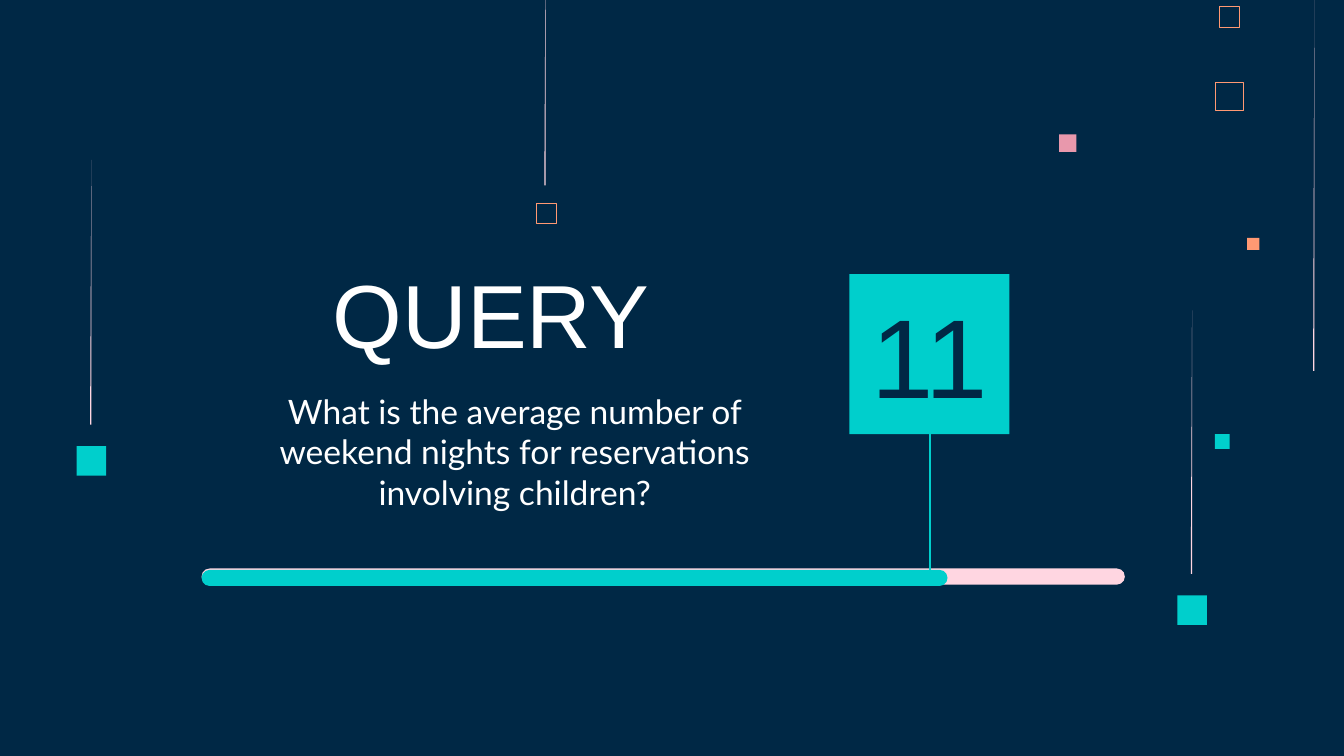
"""Build the QUERY 11 section slide with its progress bar and falling squares."""
from dataclasses import dataclass
from typing import Optional

from lxml import etree
from pptx import Presentation
from pptx.dml.color import RGBColor
from pptx.enum import shapes, text
from pptx.oxml import ns
from pptx.util import Inches, Pt


@dataclass(frozen=True)
class Theme:
    navy: str = "002845"
    teal: str = "00CFCC"
    coral: str = "FF9973"
    rose: str = "E898AC"
    blush: str = "FFD6E1"
    white: str = "FFFFFF"
    heading_font: str = "Arial"
    body_font: str = "Lato"
    heading_size: int = 48
    body_size: int = 18
    number_size: int = 60


@dataclass(frozen=True)
class Square:
    left: float
    top: float
    side: float
    color: str
    outline: Optional[float] = None


@dataclass(frozen=True)
class Streak:
    left: float
    top: float
    height: float


@dataclass(frozen=True)
class Bar:
    top: float
    width: float
    color: str


THEME = Theme()
SLIDE_WIDTH = 10
STREAK_WIDTH = 0.01
BAR_LEFT, BAR_HEIGHT = 1.5, 0.12

SQUARES = [
    Square(7.88, 1, 0.13, THEME.rose),
    Square(9.04, 3.23, 0.11, THEME.teal),
    Square(9.04, 0.61, 0.21, THEME.coral, 0.45),
    Square(9.07, 0.05, 0.15, THEME.coral, 0.32),
    Square(9.28, 1.77, 0.09, THEME.coral),
    Square(3.99, 1.51, 0.15, THEME.coral, 0.32),
    Square(8.76, 4.43, 0.22, THEME.teal),
    Square(0.57, 3.32, 0.22, THEME.teal),
    Square(6.32, 2.04, 1.19, THEME.teal),
]
STREAKS = [
    Streak(4.05, -0.48, 1.86),
    Streak(9.77, 0, 2.76),
    Streak(8.86, 2.31, 1.96),
    Streak(0.67, 1.19, 1.97),
]
BARS = [Bar(4.23, 6.87, THEME.blush), Bar(4.24, 5.55, THEME.teal)]


def rgb(color: str) -> RGBColor:
    """Turn a hex string into a colour."""
    return RGBColor.from_string(color)


def paint(shape, color: str, outline: Optional[float] = None) -> None:
    """Fill a shape, or only outline it when a line width is given."""
    shape.shadow.inherit = False
    if outline is None:
        shape.fill.solid()
        shape.fill.fore_color.rgb = rgb(color)
        shape.line.fill.background()
    else:
        shape.fill.background()
        shape.line.color.rgb = rgb(color)
        shape.line.width = Pt(outline)


def draw_square(page, square: Square) -> None:
    """Draw one filled or outlined square."""
    side = Inches(square.side)
    shape = page.shapes.add_shape(shapes.MSO_SHAPE.RECTANGLE, Inches(square.left),
                                  Inches(square.top), side, side)
    paint(shape, square.color, square.outline)


def draw_streak(page, streak: Streak) -> None:
    """Draw a sliver that tapers to a point at its top."""
    right = Inches(streak.left + STREAK_WIDTH)
    bottom = Inches(streak.top + streak.height)
    builder = page.shapes.build_freeform(right, Inches(streak.top))
    builder.add_line_segments([(Inches(streak.left), bottom), (right, bottom)], close=True)
    paint(builder.convert_to_shape(), THEME.blush)


def draw_bar(page, bar: Bar) -> None:
    """Draw a round-ended progress bar."""
    shape = page.shapes.add_shape(shapes.MSO_SHAPE.ROUNDED_RECTANGLE, Inches(BAR_LEFT),
                                  Inches(bar.top), Inches(bar.width), Inches(BAR_HEIGHT))
    shape.adjustments[0] = 0.5
    paint(shape, bar.color)


def draw_stem(page, x: float, top: float, bottom: float) -> None:
    """Join the number tile to the progress bar."""
    stem = page.shapes.add_connector(shapes.MSO_CONNECTOR.STRAIGHT, Inches(x), Inches(top),
                                     Inches(x), Inches(bottom))
    stem.line.color.rgb = rgb(THEME.teal)
    stem.line.width = Pt(1.5)
    etree.SubElement(stem.element.spPr, ns.qn("a:effectLst"))


def write(box, words: str, *, left: float, top: float, width: float, height: float,
          font: str, size: int, color: str, anchor: text.MSO_ANCHOR) -> None:
    """Place a text box or placeholder and set its centred text."""
    box.left, box.top = Inches(left), Inches(top)
    box.width, box.height = Inches(width), Inches(height)
    frame = box.text_frame
    frame.word_wrap = True
    frame.auto_size = text.MSO_AUTO_SIZE.NONE
    frame.vertical_anchor = anchor
    frame.margin_left = frame.margin_right = Inches(0.1)
    frame.margin_top = frame.margin_bottom = Inches(0.1)
    para = frame.paragraphs[0]
    para.alignment = text.PP_ALIGN.CENTER
    span = para.add_run()
    span.text = words
    span.font.name = font
    span.font.size = Pt(size)
    span.font.color.rgb = rgb(color)


def main() -> None:
    """Assemble and save the deck."""
    deck = Presentation()
    deck.slide_width = Inches(SLIDE_WIDTH)
    deck.slide_height = Inches(SLIDE_WIDTH * 9 / 16)
    page = deck.slides.add_slide(deck.slide_layouts.get_by_name("Title Only"))
    page.background.fill.solid()
    page.background.fill.fore_color.rgb = rgb(THEME.navy)

    for streak in STREAKS:
        draw_streak(page, streak)
    for square in SQUARES:
        draw_square(page, square)
    for bar in BARS:
        draw_bar(page, bar)
    draw_stem(page, 6.92, 3.23, 4.3)

    write(page.shapes.title, "QUERY", left=2.22, top=1.91, width=2.87, height=0.92,
          font=THEME.heading_font, size=THEME.heading_size, color=THEME.white,
          anchor=text.MSO_ANCHOR.BOTTOM)
    write(page.shapes.add_textbox(0, 0, 0, 0),
          "What is the average number of weekend nights for reservations involving children?",
          left=1.84, top=2.81, width=3.98, height=1.15,
          font=THEME.body_font, size=THEME.body_size, color=THEME.white,
          anchor=text.MSO_ANCHOR.TOP)
    write(page.shapes.add_textbox(0, 0, 0, 0), "11",
          left=6.38, top=2.32, width=1.07, height=0.63,
          font=THEME.heading_font, size=THEME.number_size, color=THEME.navy,
          anchor=text.MSO_ANCHOR.MIDDLE)
    deck.save("out.pptx")


if __name__ == "__main__":
    main()
